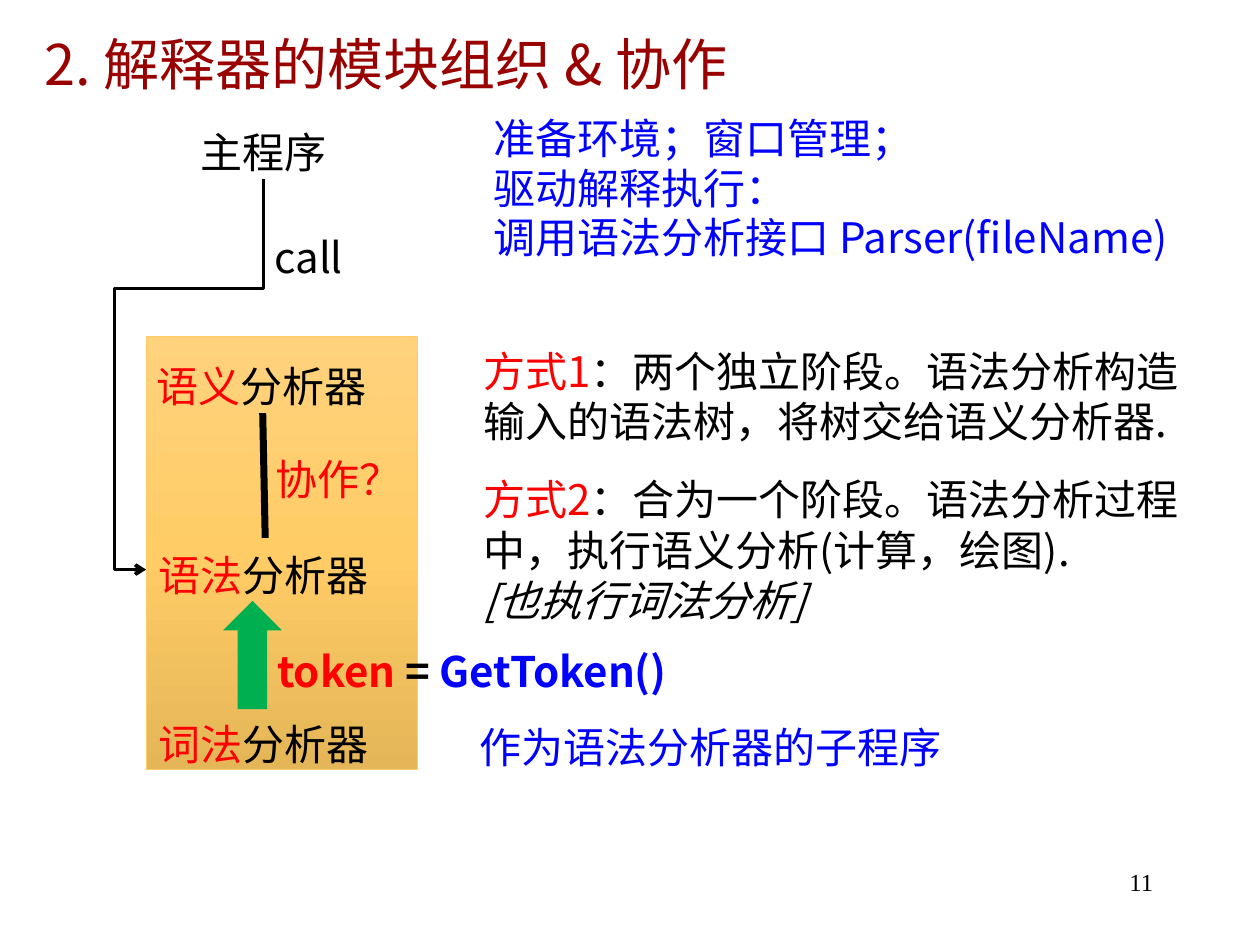
from copy import deepcopy
from lxml.etree import SubElement
from pptx import Presentation
from pptx.dml.color import RGBColor
from pptx.enum.shapes import MSO_CONNECTOR, MSO_SHAPE
from pptx.enum.text import MSO_ANCHOR, MSO_AUTO_SIZE, PP_ALIGN
from pptx.oxml.ns import qn
from pptx.util import Pt

BLACK = RGBColor(0, 0, 0)
RED = RGBColor(0xFF, 0, 0)
BLUE = RGBColor(0, 0, 0xFF)
MAROON = RGBColor(0x99, 0, 0)
GREEN = RGBColor(0, 0xB0, 0x50)
GOLD = RGBColor(0xFF, 0xCC, 0x66)
GOLD_STOPS = [(0, RGBColor(0xFF, 0xD2, 0x7D)), (0.5, GOLD), (1, RGBColor(0xE5, 0xB6, 0x58))]
FONT = "Noto Sans CJK SC"
NUMBER_FONT = "Times New Roman"

TITLE = "2. 解释器的模块组织 & 协作"
MODULES = {
    "main": ((96.5, 65.5, 108, 36.7), [[("主程序", BLACK)]]),
    "semantic": ((82.1, 199.4, 136.1, 36.7), [[("语义", RED), ("分析器", BLACK)]]),
    "syntax": ((83.5, 307.4, 136.1, 36.7), [[("语法", RED), ("分析器", BLACK)]]),
    "lexical": ((83.5, 403.9, 136.1, 36.7), [[("词法", RED), ("分析器", BLACK)]]),
}
NOTES = [
    ((150.5, 252.7, 87.1, 36.7), [[("协作？", RED)]]),
    ((149.8, 126, 96.5, 36), [[("call", BLACK)]]),
    ((275, 57.6, 445, 65.5), [[("准备环境；窗口管理；", BLUE)], [("驱动解释执行：", BLUE)]]),
    ((275, 114.5, 445, 36.7), [[("调用语法分析接口 Parser(fileName)", BLUE)]]),
    ((269.3, 190.8, 424.8, 65.5), [
        [("方式1", RED), ("：两个独立阶段。语法分析构造输入的语法树，将树交给语义分析器.", BLACK)]]),
    ((267.1, 406.1, 445, 36), [[("作为语法分析器的子程序", BLUE)]]),
]
METHOD_2 = ((269.3, 264.2, 419, 94.3), [
    [("方式2", RED), ("：合为一个阶段。语法分析过程中，执行语义分析(计算，绘图).", BLACK)],
    [("[也执行词法分析]", BLACK)]])
TOKEN = ((151.2, 362.2, 259.9, 36.7), [
    [("token", RED), (" = ", BLACK), ("GetToken()", BLUE)]])
NUMBER = ((516.2, 491.8, 149.8, 36), [[("11", BLACK)]])


def points(box):
    return [Pt(v) for v in box]


def set_font(p, size, name=FONT):
    p.font.size = Pt(size)
    p.font.name = name
    SubElement(p._p.pPr.find(qn("a:defRPr")), qn("a:ea"), typeface=name)


def add_text(s, box, lines, size=24, name=FONT):
    sp = s.shapes.add_textbox(*points(box))
    tf = sp.text_frame
    tf.word_wrap = True
    tf.auto_size = MSO_AUTO_SIZE.NONE
    for i, runs in enumerate(lines):
        p = tf.add_paragraph() if i else tf.paragraphs[0]
        if name == FONT:
            tf.margin_top = Pt(6.5)
            p.line_spacing = Pt(28.8)
        set_font(p, size, name)
        for text, color in runs:
            r = p.add_run()
            r.text = text
            r.font.color.rgb = color
    return sp


def add_shape(s, kind, box):
    sp = s.shapes.add_shape(kind, *points(box))
    sp.shadow.inherit = False
    return sp


def add_link(s, kind, start, start_site, end, end_site, width):
    c = s.shapes.add_connector(kind, 0, 0, 0, 0)
    c.begin_connect(start, start_site)
    c.end_connect(end, end_site)
    c.line.color.rgb = BLACK
    c.line.width = Pt(width)
    SubElement(c._element.spPr, qn("a:effectLst"))
    return c


def bend_call(c):
    c.left, c.top, c.width, c.height = points((5.4, 180.4, 223.2, 67))
    spPr = c._element.spPr
    spPr.find(qn("a:xfrm")).attrib.clear()
    spPr.find(qn("a:xfrm")).set("rot", "5400000")
    geom = spPr.find(qn("a:prstGeom"))
    geom.set("prst", "bentConnector4")
    guides = geom.find(qn("a:avLst"))
    for name, value in (("adj1", 28000), ("adj2", 126900)):
        SubElement(guides, qn("a:gd"), name=name, fmla=f"val {value}")
    SubElement(spPr.find(qn("a:ln")), qn("a:tailEnd"), type="arrow")


def main():
    prs = Presentation()
    prs.slide_width, prs.slide_height = Pt(720), Pt(540)
    s = prs.slides.add_slide(prs.slide_layouts[5])

    title = s.shapes.title
    title.left, title.top, title.width, title.height = points((18, 15.1, 676.8, 41.8))
    tf = title.text_frame
    tf.text = TITLE
    tf.auto_size = MSO_AUTO_SIZE.NONE
    tf.vertical_anchor = MSO_ANCHOR.MIDDLE
    p = tf.paragraphs[0]
    p.alignment = PP_ALIGN.LEFT
    set_font(p, 32)
    p.font.color.rgb = MAROON

    panel = add_shape(s, MSO_SHAPE.RECTANGLE, (83.5, 192.2, 154.8, 247.7))
    panel.line.color.rgb = GOLD
    panel.line.width = Pt(0.5)
    panel.fill.gradient()
    panel.fill.gradient_angle = 270
    stops = panel._element.spPr.find(qn("a:gradFill")).find(qn("a:gsLst"))
    stops.append(deepcopy(stops[-1]))
    for stop, (position, color) in zip(panel.fill.gradient_stops, GOLD_STOPS):
        stop.position = position
        stop.color.rgb = color

    arrow = add_shape(s, MSO_SHAPE.UP_ARROW, (127.4, 343.4, 33.8, 61.9))
    arrow.fill.solid()
    arrow.fill.fore_color.rgb = GREEN
    arrow.line.fill.background()

    modules = {key: add_text(s, *item) for key, item in MODULES.items()}
    modules["main"].text_frame.paragraphs[0].alignment = PP_ALIGN.CENTER
    for note in NOTES:
        add_text(s, *note)
    add_text(s, *METHOD_2).text_frame.paragraphs[1].font.italic = True
    add_text(s, *TOKEN).text_frame.paragraphs[0].font.bold = True
    number = add_text(s, *NUMBER, size=14, name=NUMBER_FONT)
    number.text_frame.paragraphs[0].alignment = PP_ALIGN.RIGHT

    add_link(s, MSO_CONNECTOR.STRAIGHT, modules["semantic"], 2, modules["syntax"], 0, 4)
    bend_call(add_link(s, MSO_CONNECTOR.ELBOW, modules["main"], 2, modules["syntax"], 1, 2))

    prs.save("out.pptx")


if __name__ == "__main__":
    main()
